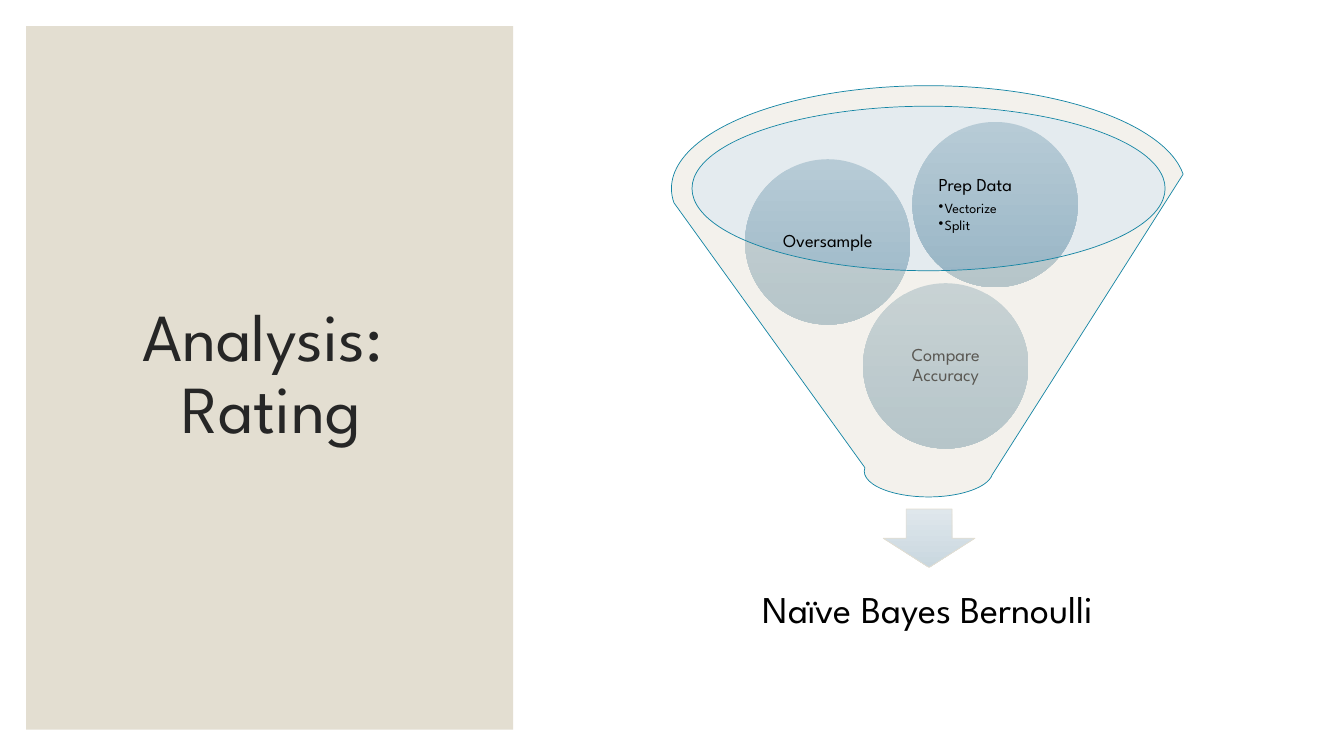
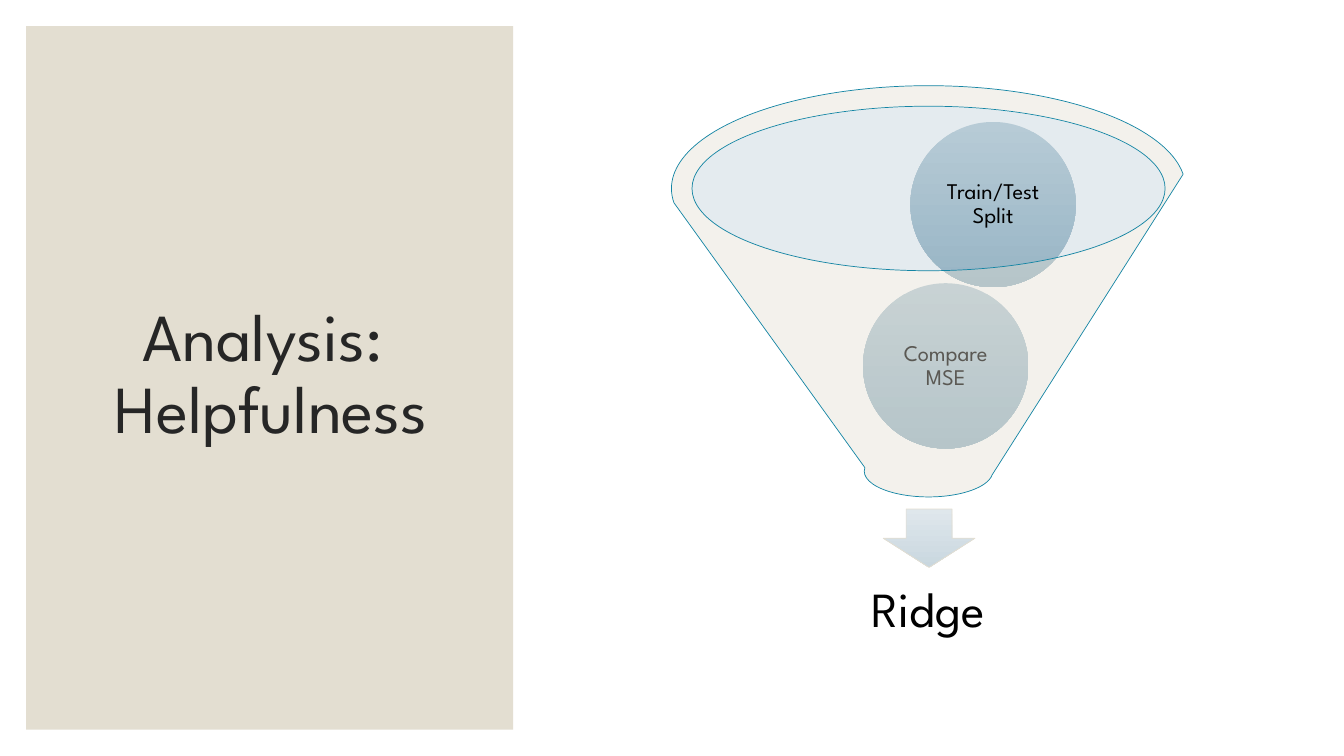
import pptx
import pptx.util
import pptx.dml.color
import pptx.enum.shapes
import pptx.enum.text
import pptx.oxml.ns
import lxml.etree

Inches = pptx.util.Inches
Pt = pptx.util.Pt
SHAPE = pptx.enum.shapes.MSO_SHAPE
ALIGN = pptx.enum.text.PP_ALIGN
FONT = "League Spartan"
SAND, INK, BLACK, TEAL, MIST = "E3DED1", "262626", "000000", "1485A4", "BDCED8"
BALL = ("B7CBD6", "98B5C5")
ARROW = ("DFE7EC", "C9D7DF")

SLIDES = [
    {
        "title": "Analysis: \vRating",
        "balls": [
            (1.9, 1.96, ["Compare Accuracy"]),
            (0.73, 0.73, ["Oversample"]),
            (2.39, 0.36, ["Prep Data", "Vectorize", "Split"]),
        ],
        "size": 13,
        "result": ("Naïve Bayes Bernoulli", 27, 0.21),
    },
    {
        "title": "Analysis: \vHelpfulness",
        "balls": [
            (1.9, 1.96, ["Compare MSE"]),
            (2.37, 0.36, ["Train/Test Split"]),
        ],
        "size": 16,
        "result": ("Ridge", 35, 0.27),
    },
]


def rgb(code):
    """Turn a hex string into a colour."""
    return pptx.dml.color.RGBColor.from_string(code)


def draw(shapes, kind, box, fill, line=None, alpha=None):
    """Add a shape with a solid or two-colour fill."""
    shape = shapes.add_shape(kind, *map(Inches, box))
    shape.shadow.inherit = False
    if isinstance(fill, tuple):
        shape.fill.gradient()
        shape.fill.gradient_angle = 270
        for stop, code in zip(shape.fill.gradient_stops, fill):
            stop.color.rgb = rgb(code)
    else:
        shape.fill.solid()
        shape.fill.fore_color.rgb = rgb(fill)
    if alpha:
        tag = next(shape.fill._xPr.iter(pptx.oxml.ns.qn("a:srgbClr")))
        node = lxml.etree.SubElement(tag, pptx.oxml.ns.qn("a:alpha"))
        node.set("val", str(alpha * 1000))
    if line:
        shape.line.color.rgb = rgb(line)
        shape.line.width = Pt(0.5)
    else:
        shape.line.fill.background()
    return shape


def style(para, size, color=BLACK, align=ALIGN.CENTER, after=0):
    """Format one paragraph and its runs."""
    para.alignment = align
    para.line_spacing = 0.9
    para.space_after = Pt(after)
    for run in para.runs:
        run.font.name = FONT
        run.font.size = Pt(size)
        run.font.color.rgb = rgb(color)


def bullet(para):
    """Give a paragraph a hanging bullet."""
    props = para._p.get_or_add_pPr()
    props.set("marL", str(Inches(0.06)))
    props.set("indent", str(-Inches(0.06)))
    node = lxml.etree.SubElement(props, pptx.oxml.ns.qn("a:buChar"))
    node.set("char", "•")


def setup(frame, text, inset):
    """Fill a text frame, wrapped and centred in height."""
    frame.text = text
    frame.word_wrap = True
    frame.vertical_anchor = pptx.enum.text.MSO_ANCHOR.MIDDLE
    frame.margin_left = frame.margin_right = Inches(inset)
    frame.margin_top = frame.margin_bottom = Inches(inset)


def label(shapes, box, text, size, inset, color=BLACK):
    """Add a centred text box."""
    frame = shapes.add_textbox(*map(Inches, box)).text_frame
    setup(frame, text, inset)
    style(frame.paragraphs[0], size, color)


def panel(slide, box, title):
    """Draw the sand panel with its title."""
    left, top, width, height = box
    draw(slide.shapes, SHAPE.RECTANGLE, box, SAND)
    inner = (left + 0.37, top + 0.35, width - 0.71, height - 0.74)
    label(slide.shapes, inner, title, 48, 0.1, INK)


def ball(shapes, left, top, lines, size):
    """Draw a circle with a label or a headed list."""
    shape = draw(shapes, SHAPE.OVAL, (left, top, 1.64, 1.64), BALL)
    frame = shape.text_frame
    setup(frame, "\n".join(lines), 0.02)
    head, *items = frame.paragraphs
    if items:
        style(head, size, align=ALIGN.LEFT, after=0.35 * size)
    else:
        style(head, size)
    for item in items:
        style(item, 10, align=ALIGN.LEFT, after=1.5)
        bullet(item)


def funnel(slide, box, balls, size, result):
    """Draw the funnel, its balls and the result below."""
    left, top, width, height = box
    mid = left + width / 2
    shapes = slide.shapes.add_group_shape().shapes
    lip = (mid - 2.35, top + 0.21, 4.7, 1.63)
    draw(shapes, SHAPE.OVAL, lip, MIST, alpha=40)
    arrow = (mid - 0.45, top + height + 0.12, 0.91, 0.58)
    draw(shapes, SHAPE.DOWN_ARROW, arrow, ARROW, SAND)
    text, points, inset = result
    below = (mid - 2.19, top + height + 0.59, 4.37, 1.09)
    label(shapes, below, text, points, inset)
    for across, down, lines in balls:
        ball(shapes, left + across, top + down, lines, size)
    draw(shapes, SHAPE.FUNNEL, box, SAND, TEAL, 40)


def main():
    """Build and save the slides."""
    deck = pptx.Presentation()
    deck.slide_width, deck.slide_height = Inches(13.33), Inches(7.5)
    for data in SLIDES:
        slide = deck.slides.add_slide(deck.slide_layouts[6])
        panel(slide, (0.26, 0.26, 4.83, 6.98), data["title"])
        box = (6.66, 0.85, 5.1, 4.08)
        funnel(slide, box, data["balls"], data["size"], data["result"])
    deck.save("out.pptx")


if __name__ == "__main__":
    main()
